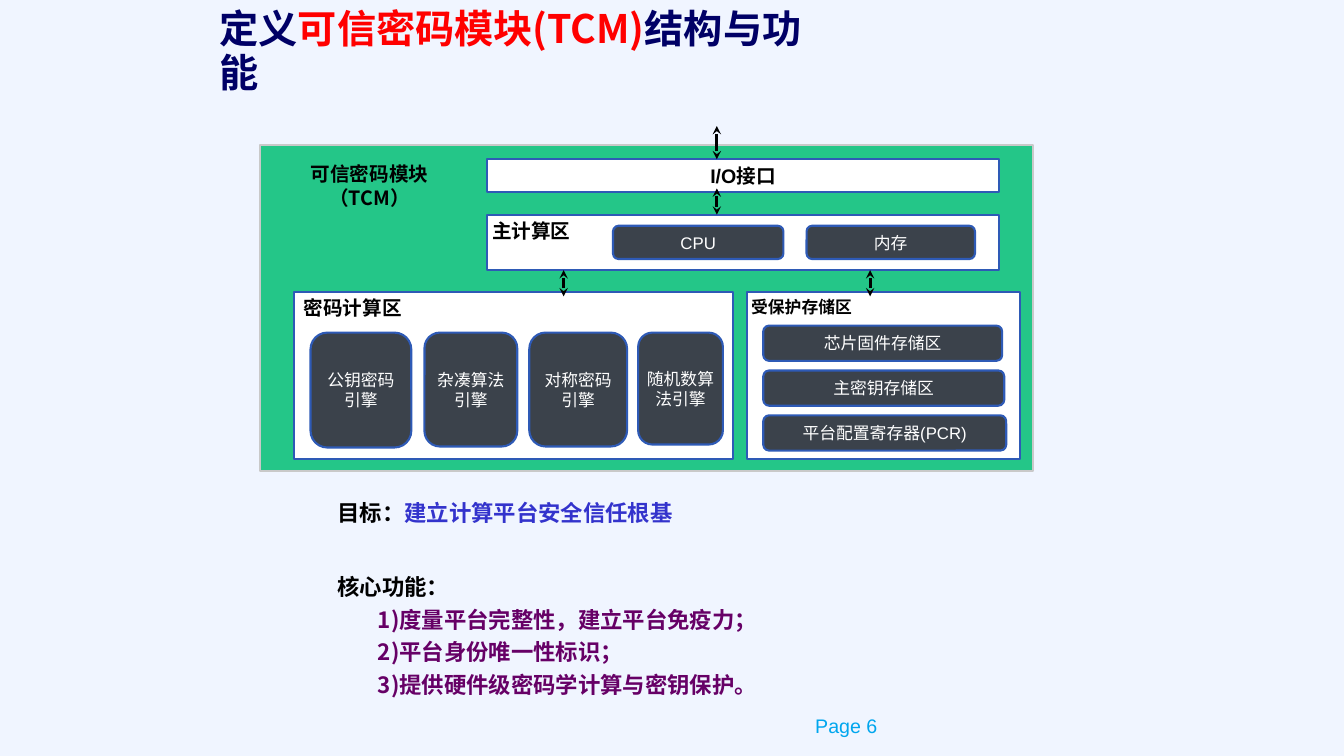
from pptx import Presentation
from pptx.dml.color import RGBColor
from pptx.enum.shapes import MSO_CONNECTOR, MSO_SHAPE
from pptx.enum.text import MSO_ANCHOR, PP_ALIGN
from pptx.oxml.ns import qn
from pptx.util import Inches, Pt
from lxml.etree import SubElement

BACKGROUND = RGBColor(0xF0, 0xF5, 0xFF)
NAVY = RGBColor(0x00, 0x00, 0x66)
RED = RGBColor(0xFF, 0x00, 0x00)
BLACK = RGBColor(0x00, 0x00, 0x00)
WHITE = RGBColor(0xFF, 0xFF, 0xFF)
GREEN = RGBColor(0x24, 0xC6, 0x88)
SILVER = RGBColor(0xC9, 0xC9, 0xC9)
BLUE = RGBColor(0x2E, 0x5A, 0xB6)
SLATE = RGBColor(0x3B, 0x42, 0x4B)
INDIGO = RGBColor(0x33, 0x33, 0xCC)
PURPLE = RGBColor(0x66, 0x00, 0x66)
CYAN = RGBColor(0x00, 0xA6, 0xEE)

LATIN = "Arial"
CJK = "Noto Sans CJK SC"
DEFAULT_INSETS = (0.1, 0.05, 0.1, 0.05)
NO_INSETS = (0, 0, 0, 0)

ENGINES = [
    ("公钥密码引擎", 3.08, 1.0, 1.14),
    ("杂凑算法引擎", 4.21, 0.92, 1.13),
    ("对称密码\n引擎", 5.25, 0.97, 1.13),
    ("随机数算法引擎", 6.33, 0.84, 1.11),
]
STORES = [
    ("芯片固件存储区", 2.37),
    ("主密钥存储区", 2.39),
    ("平台配置寄存器(PCR)", 2.41),
]
BUSES = [(7.11, 1.25, 1.58), (7.11, 1.87, 2.13), (5.59, 2.68, 2.94), (8.63, 2.68, 2.94)]
FUNCTIONS = [
    "度量平台完整性，建立平台免疫力；",
    "平台身份唯一性标识；",
    "提供硬件级密码学计算与密钥保护。",
]


def style(font, size, color, bold=False, name=LATIN):
    font.name = name
    font.size = Pt(size)
    font.bold = bold
    font.color.rgb = color


def set_frame(frame, anchor, insets):
    frame.word_wrap = True
    frame.vertical_anchor = anchor
    (frame.margin_left, frame.margin_top,
     frame.margin_right, frame.margin_bottom) = map(Inches, insets)


def write(frame, text, size, color, bold=False, name=LATIN, align=PP_ALIGN.CENTER,
          anchor=MSO_ANCHOR.MIDDLE, insets=DEFAULT_INSETS):
    set_frame(frame, anchor, insets)
    frame.text = text
    for paragraph in frame.paragraphs:
        paragraph.alignment = align
        style(paragraph.font, size, color, bold, name)


def add_text_frame(slide, left, top, width, height):
    return slide.shapes.add_textbox(
        Inches(left), Inches(top), Inches(width), Inches(height)).text_frame


def add_panel(slide, kind, left, top, width, height, fill, outline=BLUE):
    panel = slide.shapes.add_shape(
        kind, Inches(left), Inches(top), Inches(width), Inches(height))
    panel.shadow.inherit = False
    panel.fill.solid()
    panel.fill.fore_color.rgb = fill
    panel.line.color.rgb = outline
    panel.line.width = Pt(1.5)
    return panel.text_frame


def add_zone(slide, label, left, top, width, height, size, indent):
    frame = add_panel(slide, MSO_SHAPE.RECTANGLE, left, top, width, height, WHITE)
    write(frame, label, size, BLACK, True, align=PP_ALIGN.LEFT,
          anchor=MSO_ANCHOR.TOP, insets=(indent, 0.04, 0, 0))


def add_unit(slide, label, left, top, width, height, insets=NO_INSETS):
    frame = add_panel(slide, MSO_SHAPE.ROUNDED_RECTANGLE, left, top, width, height, SLATE)
    write(frame, label, 12, WHITE, insets=insets)


def add_bus(slide, x, top, bottom):
    bus = slide.shapes.add_connector(
        MSO_CONNECTOR.STRAIGHT, Inches(x), Inches(top), Inches(x), Inches(bottom))
    bus.line.color.rgb = BLACK
    bus.line.width = Pt(2)
    line = bus.line._get_or_add_ln()
    for end in ("a:headEnd", "a:tailEnd"):
        SubElement(line, qn(end), type="stealth")
    SubElement(bus._element.spPr, qn("a:effectLst"))


def add_runs(paragraph, parts, size, name):
    for text, color in parts:
        run = paragraph.add_run()
        run.text = text
        style(run.font, size, color, True, name)


def add_title(slide):
    frame = add_text_frame(slide, 2.08, 0.42, 6.33, 0.58)
    set_frame(frame, MSO_ANCHOR.BOTTOM, DEFAULT_INSETS)
    heading = frame.paragraphs[0]
    heading.line_spacing = Pt(32)
    add_runs(heading, [("定义", NAVY), ("可信密码模块(TCM)", RED), ("结构与功能", NAVY)], 28, CJK)


def add_module(slide):
    add_panel(slide, MSO_SHAPE.RECTANGLE, 2.58, 1.44, 7.67, 3.23, GREEN, SILVER)
    write(add_text_frame(slide, 2.74, 1.72, 1.85, 0.24), "可信密码模块（TCM）",
          14, BLACK, True, CJK, insets=NO_INSETS)
    interface = add_panel(slide, MSO_SHAPE.RECTANGLE, 4.83, 1.58, 5.08, 0.33, WHITE)
    write(interface, "I/O接口", 14, BLACK, True)
    add_zone(slide, "主计算区", 4.83, 2.13, 5.08, 0.55, 14, 0.05)
    add_zone(slide, "密码计算区", 2.92, 2.9, 4.35, 1.65, 14, 0.09)
    add_zone(slide, "受保护存储区", 7.41, 2.9, 2.71, 1.65, 12, 0.04)
    add_unit(slide, "CPU", 6.08, 2.24, 1.69, 0.33)
    add_unit(slide, "内存", 8, 2.24, 1.67, 0.33)
    for label, left, width, height in ENGINES:
        add_unit(slide, label, left, 3.3, width, height, (0.04, 0.04, 0.04, 0.04))
    for row, (label, width) in enumerate(STORES):
        add_unit(slide, label, 7.57, 3.23 + row * 0.445, width, 0.35)
    for bus in BUSES:
        add_bus(slide, *bus)


def add_goals(slide):
    frame = add_text_frame(slide, 3.25, 4.9, 5.92, 2.44)
    set_frame(frame, MSO_ANCHOR.TOP, DEFAULT_INSETS)
    add_runs(frame.paragraphs[0], [("目标：", BLACK), ("建立计算平台安全信任根基", INDIGO)], 16, LATIN)

    core = frame.add_paragraph()
    core.text = "核心功能："
    core.space_before = Pt(34)
    style(core.font, 16, BLACK, True)

    for function in FUNCTIONS:
        item = frame.add_paragraph()
        item.text = function
        item.space_before = Pt(4)
        properties = item._p.get_or_add_pPr()
        properties.set("marL", str(Inches(0.32)))
        properties.set("indent", str(Inches(0.08)))
        SubElement(properties, qn("a:buFont"), typeface=LATIN)
        SubElement(properties, qn("a:buAutoNum"), type="arabicParenR")
        style(item.font, 16, PURPLE, True)


def main():
    deck = Presentation()
    deck.slide_width = Inches(13.33)
    deck.slide_height = Inches(7.5)
    slide = deck.slides.add_slide(deck.slide_layouts[6])
    slide.background.fill.solid()
    slide.background.fill.fore_color.rgb = BACKGROUND
    add_title(slide)
    add_goals(slide)
    add_module(slide)
    write(add_text_frame(slide, 7.41, 7.08, 1.97, 0.24), "Page 6", 14, CYAN)
    deck.save("out.pptx")


if __name__ == "__main__":
    main()
